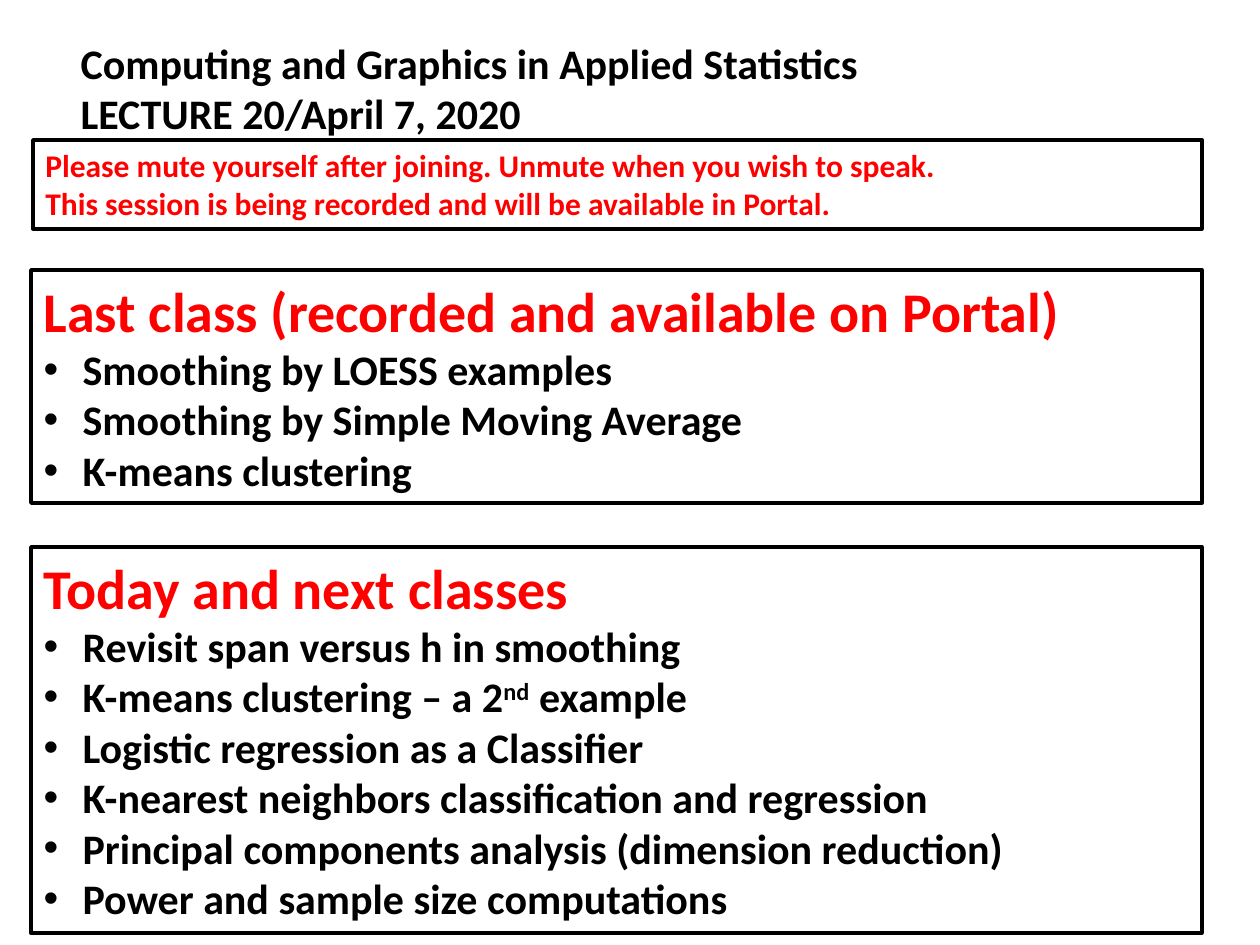
"""Build the agenda slide of a statistics lecture."""
import dataclasses

import lxml.etree
import pptx
import pptx.dml.color
import pptx.enum.shapes
import pptx.enum.text
import pptx.oxml.ns
import pptx.util

PIXEL = 914400 // 126


@dataclasses.dataclass(frozen=True)
class Theme:
    font: str = "Calibri"
    ink: str = "000000"
    accent: str = "FF0000"
    paper: str = "FFFFFF"
    heading: int = 32
    body: int = 24
    notice: int = 18
    border: int = 2
    hanging: int = 39


THEME = Theme()


def rgb(value):
    return pptx.dml.color.RGBColor.from_string(value)


def place(region, box):
    region.left, region.top, region.width, region.height = (n * PIXEL for n in box)
    frame = region.text_frame
    frame.word_wrap = True
    frame.auto_size = pptx.enum.text.MSO_AUTO_SIZE.NONE
    frame.vertical_anchor = pptx.enum.text.MSO_ANCHOR.TOP


def outline(region):
    region.fill.solid()
    region.fill.fore_color.rgb = rgb(THEME.paper)
    region.line.color.rgb = rgb(THEME.ink)
    region.line.width = pptx.util.Pt(THEME.border)


def style(paragraph, size, color):
    paragraph.alignment = pptx.enum.text.PP_ALIGN.LEFT
    paragraph.space_before = pptx.util.Pt(0)
    for run in paragraph.runs:
        run.font.name = THEME.font
        run.font.size = pptx.util.Pt(size)
        run.font.bold = True
        run.font.color.rgb = rgb(color)


def set_bullet(paragraph, hanging, character=None):
    properties = paragraph._p.get_or_add_pPr()
    properties.set("marL", str(hanging * PIXEL))
    properties.set("indent", str(-hanging * PIXEL))
    tag = "a:buChar" if character else "a:buNone"
    bullet = lxml.etree.SubElement(properties, pptx.oxml.ns.qn(tag))
    if character:
        bullet.set("char", character)


def add_topic(frame, topic):
    paragraph = frame.add_paragraph()
    paragraph.level = 1
    for index, part in enumerate(topic.split("^")):
        run = paragraph.add_run()
        run.text = part
        if index % 2:
            run._r.get_or_add_rPr().set("baseline", "30000")
    style(paragraph, THEME.body, THEME.ink)
    set_bullet(paragraph, THEME.hanging, "•")


def fill_title(title, box, lines):
    place(title, box)
    title.text_frame.text = "\n".join(lines)
    for paragraph in title.text_frame.paragraphs:
        style(paragraph, THEME.body, THEME.ink)


def fill_agenda(agenda, box, heading, topics):
    place(agenda, box)
    outline(agenda)
    frame = agenda.text_frame
    frame.text = heading
    style(frame.paragraphs[0], THEME.heading, THEME.accent)
    set_bullet(frame.paragraphs[0], 0)
    for topic in topics:
        add_topic(frame, topic)


def add_notice(slide, box, lines):
    notice = slide.shapes.add_shape(
        pptx.enum.shapes.MSO_SHAPE.RECTANGLE, *(n * PIXEL for n in box))
    place(notice, box)
    outline(notice)
    notice.shadow.inherit = False
    notice.text_frame.text = "\n".join(lines)
    for paragraph in notice.text_frame.paragraphs:
        style(paragraph, THEME.notice, THEME.accent)


def main():
    deck = pptx.Presentation()
    deck.slide_width, deck.slide_height = 1260 * PIXEL, 945 * PIXEL
    slide = deck.slides.add_slide(deck.slide_layouts[3])
    last_class, next_classes = list(slide.placeholders)[1:3]
    fill_title(slide.shapes.title, (68, 31, 1008, 165), [
        "Computing and Graphics in Applied Statistics",
        "LECTURE 20/April 7, 2020",
    ])
    fill_agenda(last_class, (31, 270, 1171, 233),
                "Last class (recorded and available on Portal)", [
        "Smoothing by LOESS examples",
        "Smoothing by Simple Moving Average",
        "K-means clustering",
    ])
    fill_agenda(next_classes, (31, 547, 1171, 386), "Today and next classes", [
        "Revisit span versus h in smoothing",
        "K-means clustering – a 2^nd^ example",
        "Logistic regression as a Classifier",
        "K-nearest neighbors classification and regression",
        "Principal components analysis (dimension reduction)",
        "Power and sample size computations",
    ])
    add_notice(slide, (33, 140, 1169, 89), [
        "Please mute yourself after joining. Unmute when you wish to speak.",
        "This session is being recorded and will be available in Portal.",
    ])
    deck.save("out.pptx")


main()
